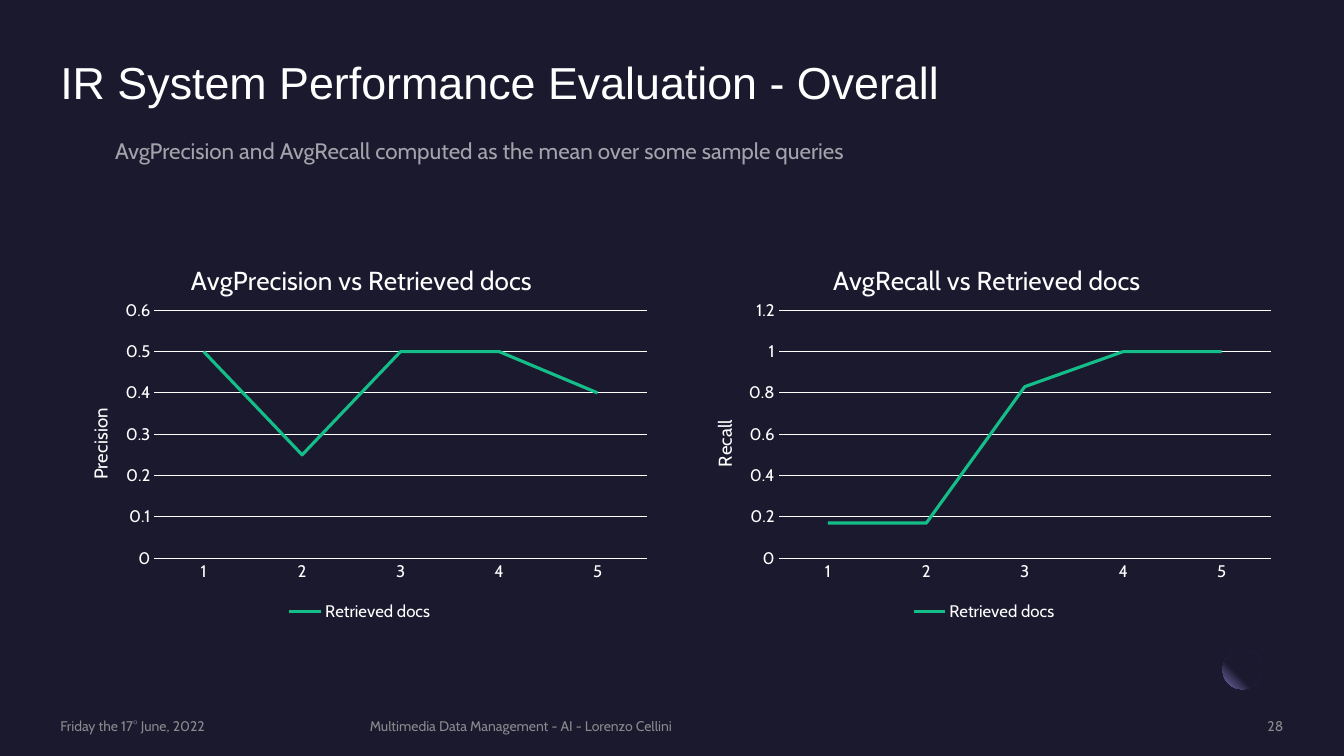
"""Build the overall IR performance slide with its two average-metric charts."""
from dataclasses import dataclass

from lxml.etree import SubElement
from pptx import Presentation
from pptx.chart.data import CategoryChartData
from pptx.dml.color import RGBColor
from pptx.enum.chart import XL_CHART_TYPE, XL_LEGEND_POSITION, XL_TICK_MARK
from pptx.enum.shapes import MSO_SHAPE
from pptx.enum.text import MSO_ANCHOR, MSO_AUTO_SIZE, PP_ALIGN
from pptx.oxml import parse_xml
from pptx.oxml.ns import nsdecls, qn
from pptx.util import Cm, Pt

NIGHT = RGBColor(0x1B, 0x19, 0x2E)
WHITE = RGBColor(0xFF, 0xFF, 0xFF)
GREY = RGBColor(0xA6, 0xA6, 0xA6)
GREEN = RGBColor(0x13, 0xBE, 0x89)
BODY_FONT = "Cabin"
MARGIN = 1.52


@dataclass
class MetricChart:
    left: float
    heading: str
    heading_x: float
    metric: str
    metric_y: float
    averages: tuple[float, ...]
    top_value: float
    step: float


@dataclass
class FooterPart:
    left: float
    width: float
    wording: str
    align: PP_ALIGN = PP_ALIGN.LEFT


METRICS = (
    MetricChart(MARGIN, "AvgPrecision vs Retrieved docs", 0.21, "Precision", 0.43,
                (0.5, 0.25, 0.5, 0.5, 0.4), 0.6, 0.1),
    MetricChart(17.25, "AvgRecall vs Retrieved docs", 0.24, "Recall", 0.46,
                (0.17, 0.17, 0.83, 1, 1), 1.2, 0.2),
)
FOOTER = (
    FooterPart(MARGIN, 7.32, "Friday the 17° June, 2022"),
    FooterPart(9.32, 17.73, "Multimedia Data Management - AI - Lorenzo Cellini"),
    FooterPart(27.64, 4.7, "28", PP_ALIGN.RIGHT),
)


def place(shape, left: float, top: float, width: float, height: float) -> None:
    shape.left, shape.top = Cm(left), Cm(top)
    shape.width, shape.height = Cm(width), Cm(height)


def style(font, size: float, color: RGBColor = WHITE, name: str = BODY_FONT) -> None:
    font.size, font.name, font.bold = Pt(size), name, False
    font.color.rgb = color


def fade(element, percent: int) -> None:
    color = next(element.iter(qn("a:srgbClr")))
    SubElement(color, qn("a:alpha")).set("val", str(percent * 1000))


def prepare(frame, anchor: MSO_ANCHOR):
    frame.word_wrap, frame.auto_size = True, MSO_AUTO_SIZE.NONE
    frame.vertical_anchor = anchor
    frame.margin_left = frame.margin_right = frame.margin_top = frame.margin_bottom = 0
    return frame.paragraphs[0]


def manual_layout(**values):
    parts = "".join(f'<c:{key} val="{value}"/>' for key, value in values.items())
    return parse_xml(f'<c:layout {nsdecls("c")}><c:manualLayout>{parts}'
                     "</c:manualLayout></c:layout>")


def drop_layout(element) -> None:
    for layout in element.findall(qn("c:layout")):
        element.remove(layout)


def label(chart_label, wording: str, size: float, x: float, y: float) -> None:
    run = chart_label.text_frame.paragraphs[0].add_run()
    run.text = wording
    style(run.font, size)
    element = chart_label._element
    drop_layout(element)
    element.find(qn("c:tx")).addnext(
        manual_layout(xMode="edge", yMode="edge", x=x, y=y))


def draw_moon(slide) -> None:
    moon = slide.shapes.add_shape(MSO_SHAPE.OVAL, Cm(30.81), Cm(16.38), Cm(0.99), Cm(0.99))
    shade = slide.shapes.add_shape(MSO_SHAPE.RECTANGLE, Cm(31.8), Cm(16.18), Cm(1.04), Cm(0.99))
    for shape in (moon, shade):
        shape.shadow.inherit = False
        shape.fill.solid()
        shape.fill.fore_color.rgb = NIGHT
        shape.line.fill.background()
    fade(shade._element.spPr, 80)
    solid = moon._element.spPr.find(qn("a:solidFill"))
    solid.getparent().replace(solid, parse_xml(
        f'<a:gradFill {nsdecls("a")}><a:gsLst>'
        f'<a:gs pos="60000"><a:srgbClr val="{NIGHT}"/></a:gs>'
        '<a:gs pos="100000"><a:srgbClr val="7771B2"/></a:gs></a:gsLst>'
        '<a:path path="circle"><a:fillToRect l="100000" b="100000"/></a:path>'
        "</a:gradFill>"))


def draw_metric(slide, metric: MetricChart) -> None:
    table = CategoryChartData()
    table.categories = [str(count) for count in range(1, 6)]
    table.add_series("Retrieved docs", metric.averages)
    chart = slide.shapes.add_chart(XL_CHART_TYPE.LINE, Cm(metric.left), Cm(5.99),
                                   Cm(15.1), Cm(9.78), table).chart
    style(chart.font, 10)
    chart.has_title = True
    label(chart.chart_title, metric.heading, 18.6, metric.heading_x, 0.05)
    chart.has_legend = True
    chart.legend.position = XL_LEGEND_POSITION.BOTTOM
    chart.legend.include_in_layout = False
    style(chart.legend.font, 12)

    for axis in (chart.category_axis, chart.value_axis):
        axis.major_tick_mark = axis.minor_tick_mark = XL_TICK_MARK.NONE
        style(axis.tick_labels.font, 12)
    docs_axis, score_axis = chart.category_axis, chart.value_axis
    score_axis.minimum_scale, score_axis.maximum_scale = 0, metric.top_value
    score_axis.major_unit = metric.step
    score_axis.format.line.fill.background()
    for line in (docs_axis.format.line, score_axis.major_gridlines.format.line):
        line.color.rgb, line.width = WHITE, Pt(0.75)
    score_axis.has_title = True
    label(score_axis.axis_title, metric.metric, 13.3, 0.04, metric.metric_y)
    turned = score_axis.axis_title.text_frame._txBody.bodyPr
    turned.set("rot", "-5400000")
    turned.set("vert", "horz")

    plot = chart.plots[0]
    plot.vary_by_categories = False
    curve = plot.series[0]
    curve.smooth = False
    curve.format.line.color.rgb, curve.format.line.width = GREEN, Pt(2.25)
    area = chart._chartSpace.chart.plotArea
    drop_layout(area)
    area.insert(0, manual_layout(layoutTarget="inner", xMode="edge", yMode="edge",
                                 x=0.157, y=0.187, w=0.822, h=0.639))


def draw_footer(slide, part: FooterPart) -> None:
    box = slide.shapes.add_textbox(Cm(part.left), Cm(18.08), Cm(part.width), Cm(0.43))
    paragraph = prepare(box.text_frame, MSO_ANCHOR.MIDDLE)
    paragraph.alignment = part.align
    run = paragraph.add_run()
    run.text = part.wording
    style(run.font, 10, GREY)
    fade(run._r, 80)


def main() -> None:
    deck = Presentation()
    deck.slide_width, deck.slide_height = Cm(33.87), Cm(19.05)
    slide = deck.slides.add_slide(deck.slide_layouts[1])
    slide.background.fill.solid()
    slide.background.fill.fore_color.rgb = NIGHT
    draw_moon(slide)

    title = slide.shapes.title
    place(title, MARGIN, MARGIN, 30.84, 3.71)
    heading = prepare(title.text_frame, MSO_ANCHOR.TOP)
    heading.alignment, heading.line_spacing = PP_ALIGN.LEFT, 0.9
    run = heading.add_run()
    run.text = "IR System Performance Evaluation - Overall"
    style(run.font, 32, name="Arial")

    subtitle = slide.placeholders[1]
    place(subtitle, 2.9, 3.38, 19.46, 0.97)
    explanation = prepare(subtitle.text_frame, MSO_ANCHOR.TOP)
    properties = explanation._p.get_or_add_pPr()
    properties.set("marL", "0")
    properties.set("indent", "0")
    SubElement(properties, qn("a:buNone"))
    explanation.line_spacing = 1.1
    explanation.space_before, explanation.space_after = Pt(0), Pt(8)
    run = explanation.add_run()
    run.text = "AvgPrecision and AvgRecall computed as the mean over some sample queries"
    style(run.font, 16)
    fade(run._r, 60)

    for metric in METRICS:
        draw_metric(slide, metric)
    for part in FOOTER:
        draw_footer(slide, part)
    deck.save("out.pptx")


if __name__ == "__main__":
    main()
